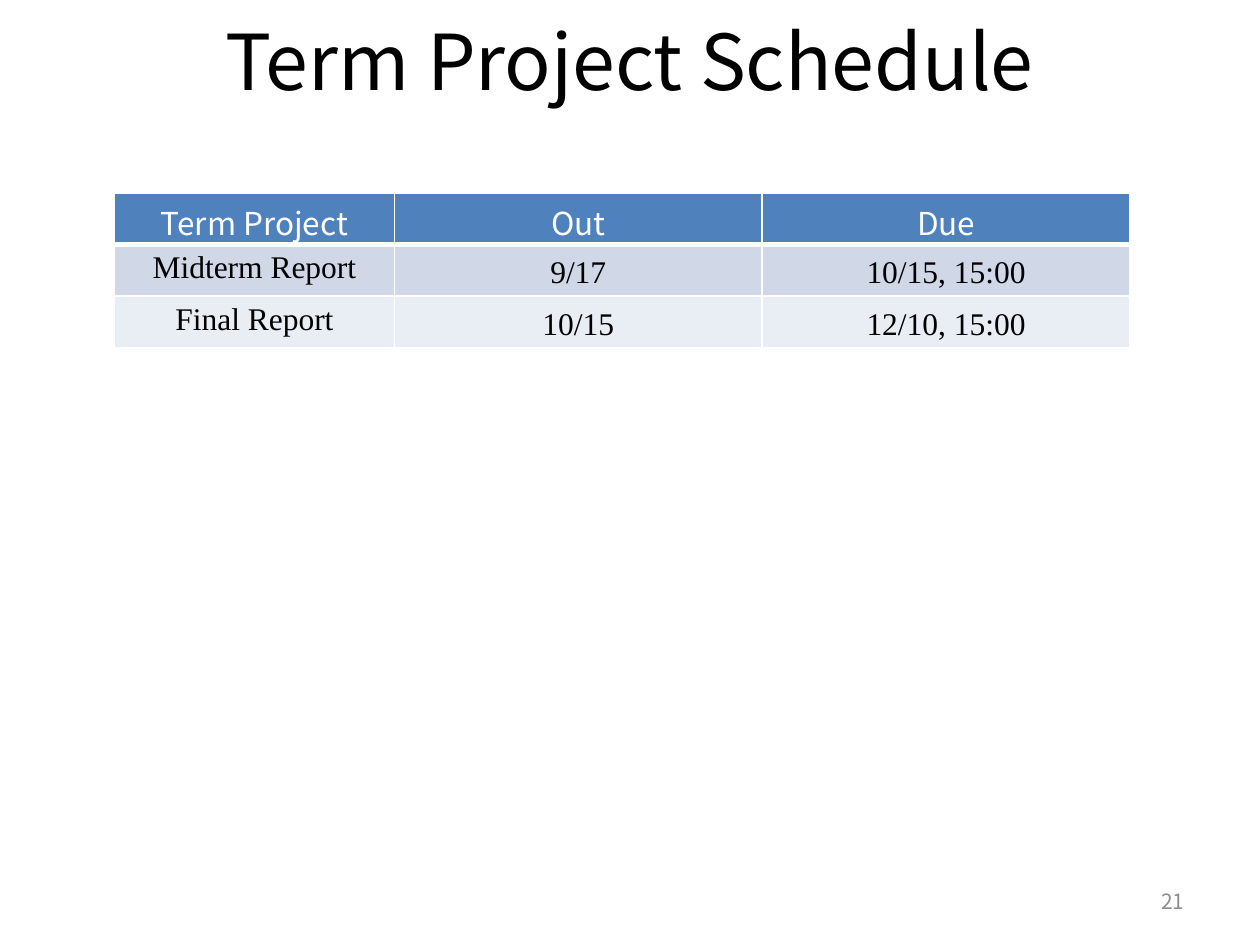
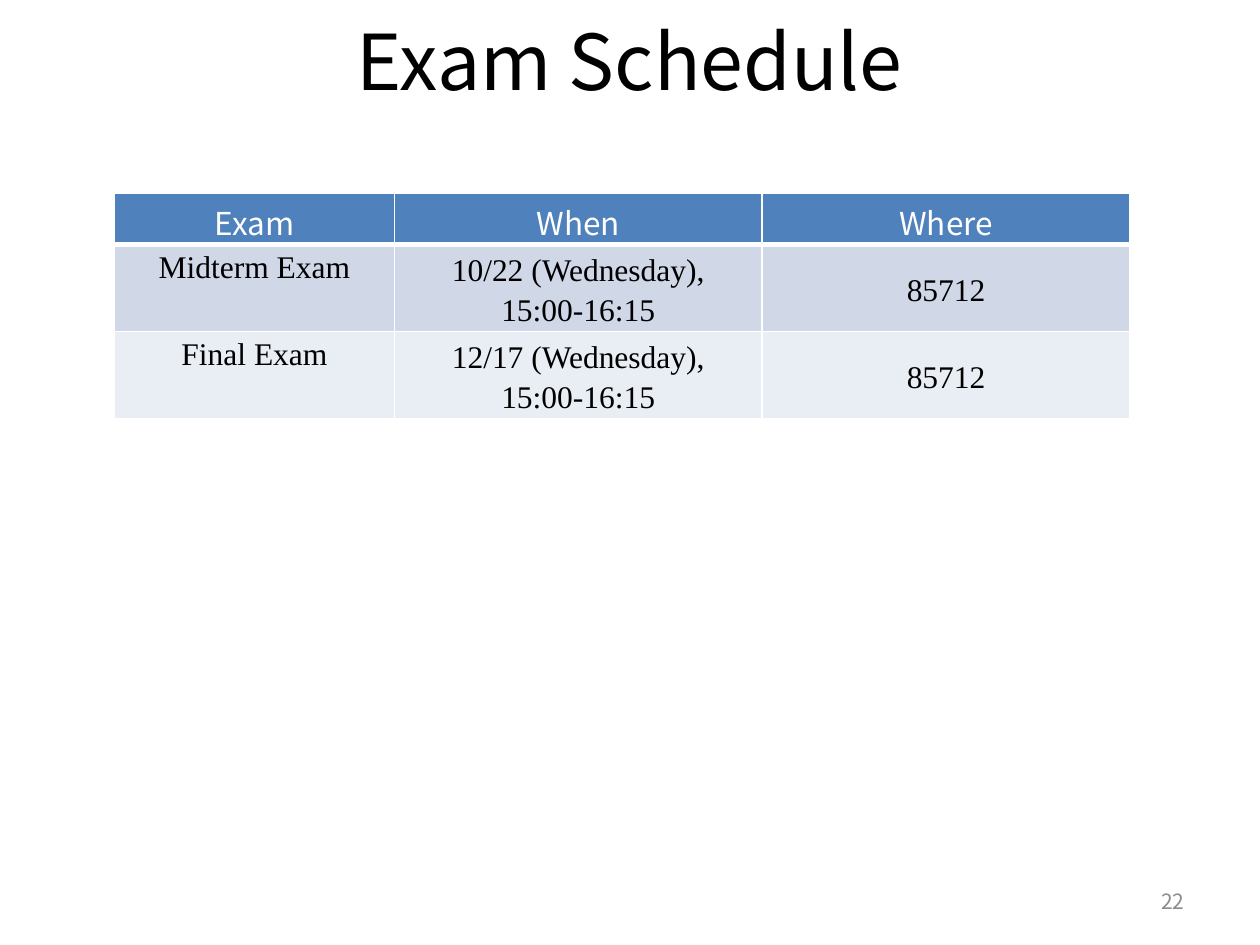
from dataclasses import dataclass

from lxml import etree
from pptx import Presentation
from pptx.dml.color import RGBColor
from pptx.enum import text
from pptx.oxml import ns
from pptx.util import Inches, Pt

SANS = "Noto Sans CJK KR"
SERIF = "Times New Roman"

BLACK = RGBColor(0x00, 0x00, 0x00)
WHITE = RGBColor(0xFF, 0xFF, 0xFF)
GRAY = RGBColor(0x8C, 0x8C, 0x8C)
HEADER_BLUE = RGBColor(0x4F, 0x81, 0xBD)
BANDS = (RGBColor(0xD0, 0xD8, 0xE8), RGBColor(0xE9, 0xED, 0xF4))

COLUMN_WIDTHS = (Inches(2.22), Inches(2.92), Inches(2.92))
ROW_HEIGHT = Inches(0.41)
CENTER = text.PP_ALIGN.CENTER
MIDDLE = text.MSO_ANCHOR.MIDDLE


@dataclass(frozen=True)
class Schedule:
    title: str
    number: int
    header: tuple[str, ...]
    rows: tuple[tuple[str, ...], ...]


SCHEDULES = (
    Schedule(
        "Term Project Schedule", 21,
        ("Term Project", "Out", "Due"),
        (("Midterm Report", "9/17", "10/15, 15:00"),
         ("Final Report", "10/15", "12/10, 15:00")),
    ),
    Schedule(
        "Exam Schedule", 22,
        ("Exam", "When", "Where"),
        (("Midterm Exam", "10/22 (Wednesday),\n15:00-16:15", "85712"),
         ("Final Exam", "12/17 (Wednesday),\n15:00-16:15", "85712")),
    ),
)


def write(frame, words: str, *, size=18, font=SANS, color=BLACK,
          align=CENTER, spacing=None) -> None:
    """Fill a text frame, one paragraph per line of words."""
    for index, line in enumerate(words.split("\n")):
        para = frame.add_paragraph() if index else frame.paragraphs[0]
        para.alignment = align
        if spacing:
            para.line_spacing = spacing
        span = para.add_run()
        span.text = line
        span.font.size = Pt(size)
        span.font.name = font
        span.font.bold = False
        span.font.color.rgb = color


def add_label(page, words: str, left, top, width, height, **style) -> None:
    frame = page.shapes.add_textbox(left, top, width, height).text_frame
    frame.word_wrap = True
    frame.vertical_anchor = MIDDLE
    write(frame, words, **style)


def paint_cell(cell, fill: RGBColor, bottom: float = 1) -> None:
    """Give a cell white borders (widths in points) and a solid fill."""
    properties = cell._tc.get_or_add_tcPr()
    for side, width in (("L", 1), ("R", 1), ("T", 1), ("B", bottom)):
        line = etree.SubElement(properties, ns.qn(f"a:ln{side}"), w=str(Pt(width)))
        solid = etree.SubElement(line, ns.qn("a:solidFill"))
        etree.SubElement(solid, ns.qn("a:srgbClr"), val=str(WHITE))
    cell.fill.solid()
    cell.fill.fore_color.rgb = fill


def add_schedule_table(page, schedule: Schedule) -> None:
    row_count = len(schedule.rows) + 1
    table = page.shapes.add_table(
        row_count, len(COLUMN_WIDTHS), Inches(0.91), Inches(1.53),
        sum(COLUMN_WIDTHS), ROW_HEIGHT * row_count).table
    for column, width in zip(table.columns, COLUMN_WIDTHS):
        column.width = width
    for row in table.rows:
        row.height = ROW_HEIGHT

    for column, words in enumerate(schedule.header):
        cell = table.cell(0, column)
        paint_cell(cell, HEADER_BLUE, bottom=3)
        write(cell.text_frame, words, color=WHITE)

    for index, entries in enumerate(schedule.rows):
        for column, words in enumerate(entries):
            cell = table.cell(index + 1, column)
            paint_cell(cell, BANDS[index % len(BANDS)])
            is_detail = column > 0
            if is_detail:
                cell.vertical_anchor = MIDDLE
                cell.margin_left = cell.margin_right = Inches(0.07)
                cell.margin_top = cell.margin_bottom = 0
            write(cell.text_frame, words, font=SERIF,
                  spacing=1.15 if is_detail else None)


def add_schedule_page(deck, schedule: Schedule) -> None:
    page = deck.slides.add_slide(deck.slide_layouts[6])
    add_label(page, schedule.title, Inches(0.5), Inches(0.05),
              Inches(9), Inches(0.85), size=44)
    add_schedule_table(page, schedule)
    add_label(page, str(schedule.number), Inches(7.17), Inches(6.95),
              Inches(2.33), Inches(0.4), size=12, color=GRAY,
              align=text.PP_ALIGN.RIGHT)


def main() -> None:
    deck = Presentation()
    deck.slide_width = Inches(10)
    deck.slide_height = Inches(7.5)
    for schedule in SCHEDULES:
        add_schedule_page(deck, schedule)
    deck.save("out.pptx")


if __name__ == "__main__":
    main()
